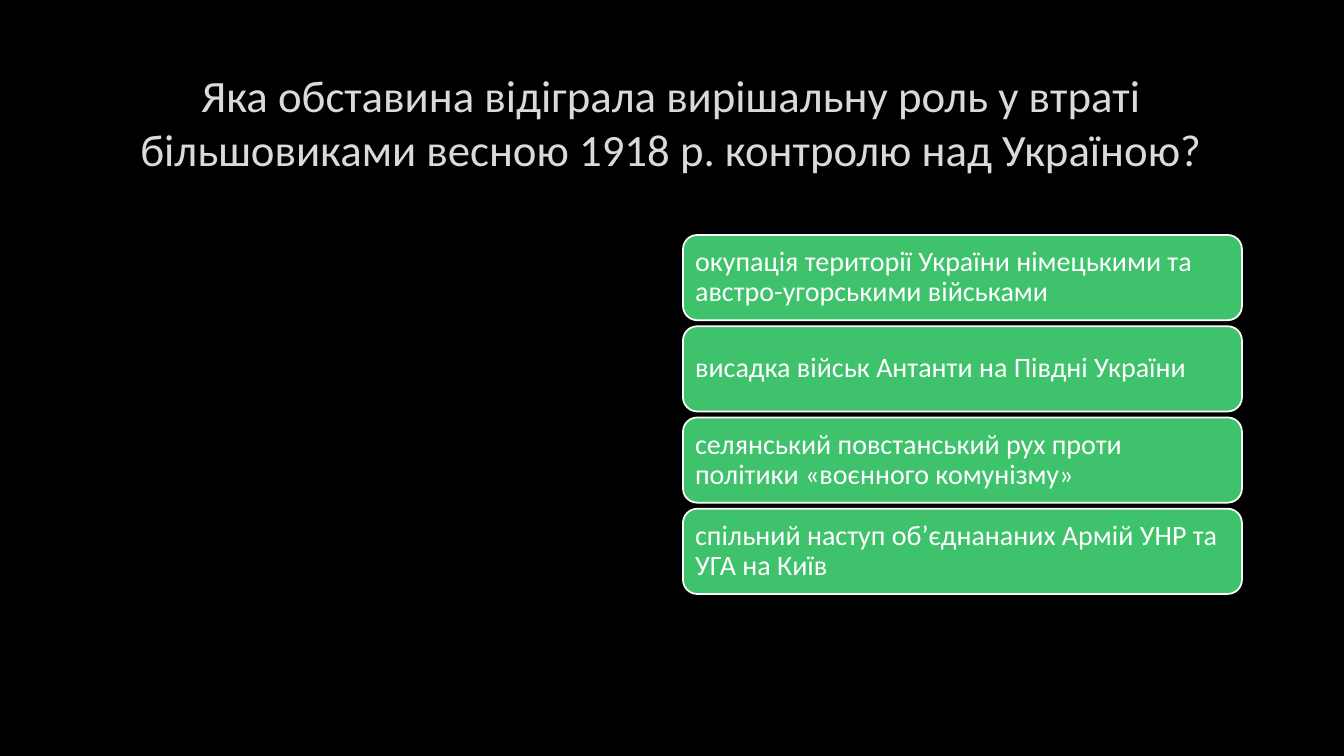
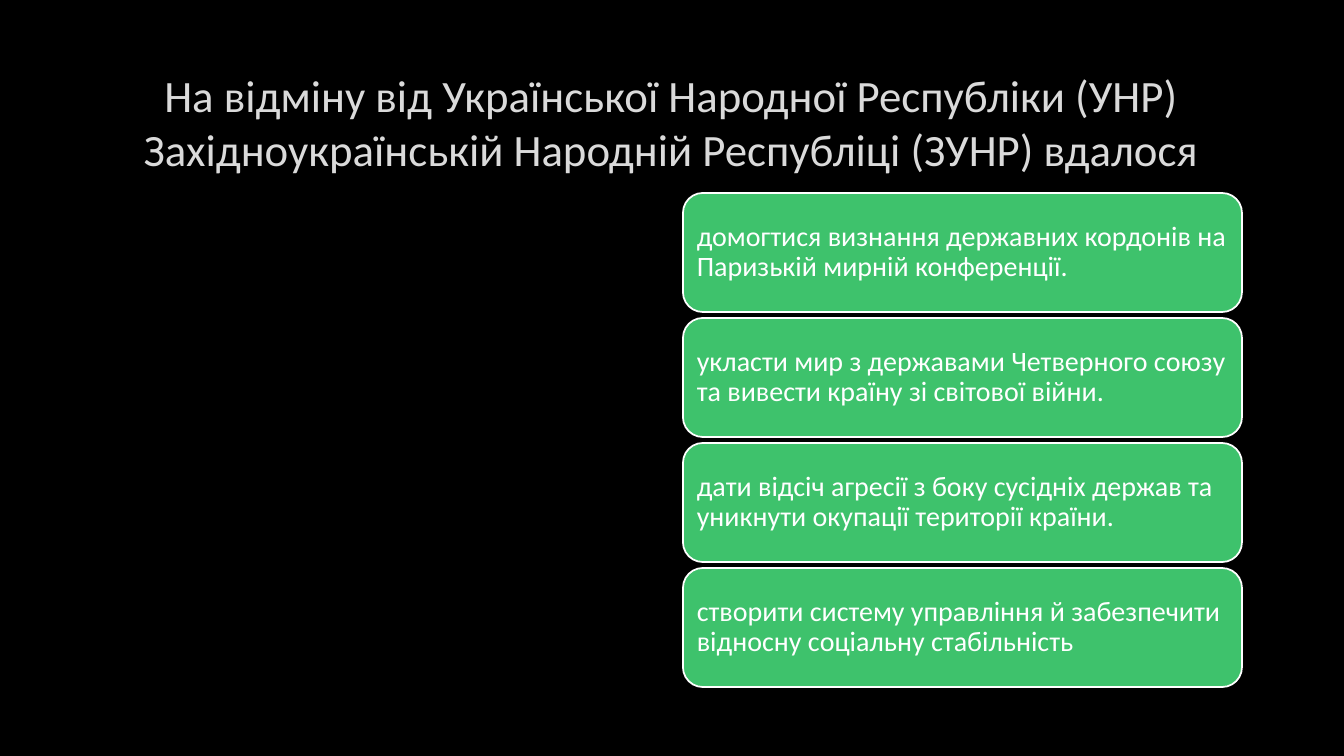
"""Build two quiz slides, each with a question and four answer cards."""
from pptx import Presentation
from pptx.dml.color import RGBColor
from pptx.enum.shapes import MSO_SHAPE
from pptx.enum.text import MSO_ANCHOR, MSO_AUTO_SIZE, PP_ALIGN
from pptx.util import Pt

ROUNDED = MSO_SHAPE.ROUNDED_RECTANGLE
MIDDLE = MSO_ANCHOR.MIDDLE
NO_FIT = MSO_AUTO_SIZE.NONE
LEFT, CENTER = PP_ALIGN.LEFT, PP_ALIGN.CENTER

SLIDE_W, SLIDE_H = 1344, 756
SCALE = 12192000 / SLIDE_W
FONT = "Calibri"
COLORS = {"background": "000000", "question": "DADADA", "card": "3EC26C", "white": "FFFFFF"}
CARD_LEFT, CARD_W, CARD_GAP, CARD_INSET = 683, 559, 6, 8

QUIZ = [
    {
        "question": "Яка обставина відіграла вирішальну роль у втраті більшовиками весною 1918 р. контролю над Україною?",
        "top": 235,
        "bottom": 594,
        "answers": [
            "окупація території України німецькими та австро-угорськими військами",
            "висадка військ Антанти на Півдні України",
            "селянський повстанський рух проти політики «воєнного комунізму»",
            "спільний наступ об’єднананих Армій УНР та УГА на Київ",
        ],
    },
    {
        "question": "На відміну від Української Народної Республіки (УНР) Західноукраїнській Народній Республіці (ЗУНР) вдалося",
        "top": 193,
        "bottom": 687,
        "answers": [
            "домогтися визнання державних кордонів на Паризькій мирній конференції.",
            "укласти мир з державами Четверного союзу та вивести країну зі світової війни.",
            "дати відсіч агресії з боку сусідніх держав та уникнути окупації території країни.",
            "створити систему управління й забезпечити відносну соціальну стабільність",
        ],
    },
]


def px(length):
    return round(length * SCALE)


def write(shape, text, size, color, align, spacing):
    frame = shape.text_frame
    frame.text = text
    frame.word_wrap = True
    frame.auto_size = NO_FIT
    frame.vertical_anchor = MIDDLE
    paragraph = frame.paragraphs[0]
    paragraph.alignment = align
    paragraph.line_spacing = spacing
    paragraph.font.name = FONT
    paragraph.font.size = Pt(size)
    paragraph.font.color.rgb = RGBColor.from_string(COLORS[color])


prs = Presentation()
prs.slide_width, prs.slide_height = px(SLIDE_W), px(SLIDE_H)
backdrop = prs.slide_master.background.fill
backdrop.solid()
backdrop.fore_color.rgb = RGBColor.from_string(COLORS["background"])
title_only = prs.slide_layouts[5]

for quiz in QUIZ:
    slide = prs.slides.add_slide(title_only)
    question = slide.shapes.title
    question.left, question.top = px(101), px(68)
    question.width, question.height = px(1141), px(107)
    write(question, quiz["question"], 32, "question", CENTER, 1.0)

    pitch = (quiz["bottom"] - quiz["top"] + CARD_GAP) / len(quiz["answers"])
    for row, answer in enumerate(quiz["answers"]):
        card = slide.shapes.add_shape(
            ROUNDED, px(CARD_LEFT), px(quiz["top"] + row * pitch), px(CARD_W), px(pitch - CARD_GAP)
        )
        card.shadow.inherit = False
        card.fill.solid()
        card.fill.fore_color.rgb = RGBColor.from_string(COLORS["card"])
        card.line.color.rgb = RGBColor.from_string(COLORS["white"])
        card.line.width = Pt(1.25)
        inner = card.text_frame
        inner.margin_left = inner.margin_right = px(CARD_INSET)
        inner.margin_top = inner.margin_bottom = px(CARD_INSET)
        write(card, answer, 20, "white", LEFT, 0.9)

prs.save("out.pptx")
